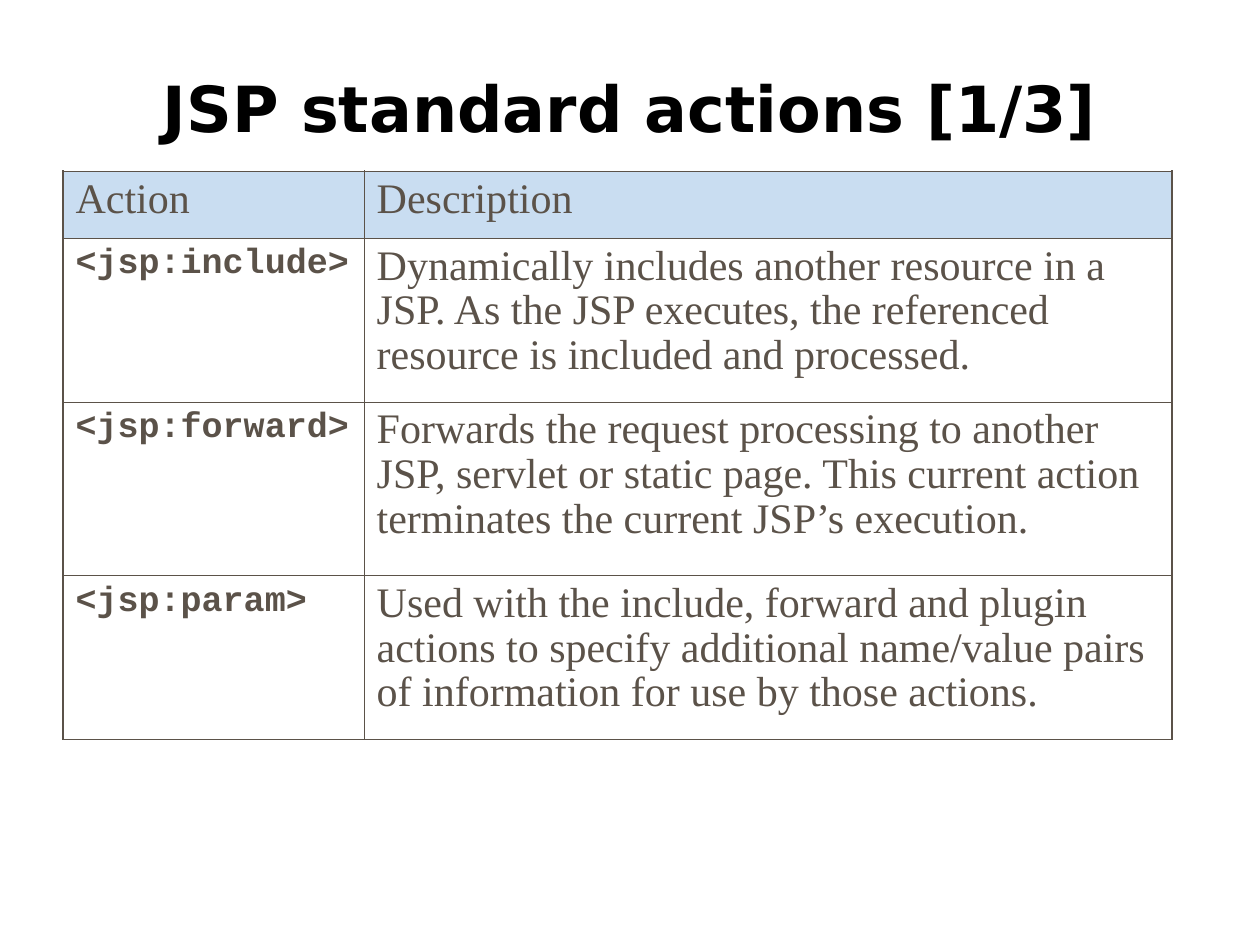
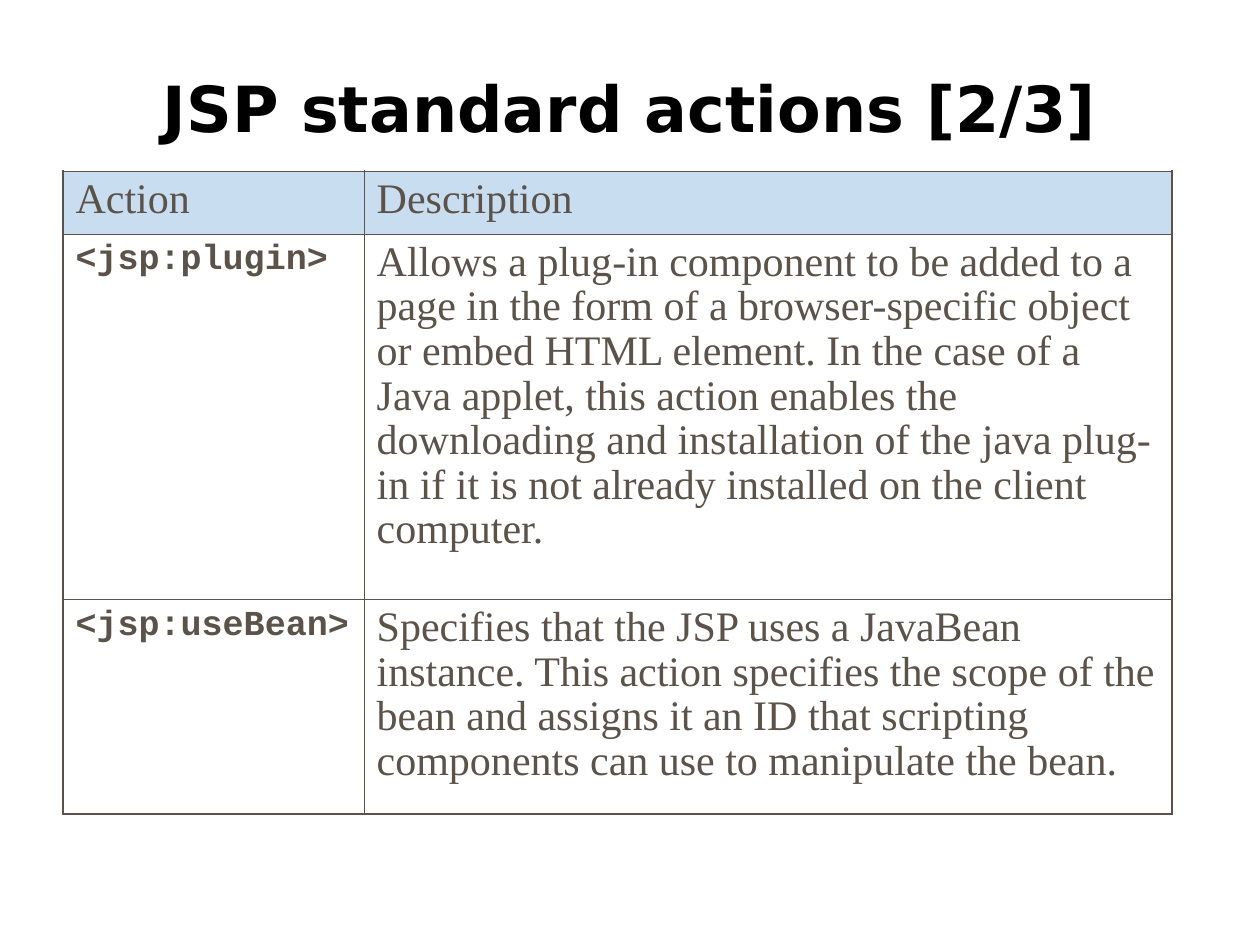
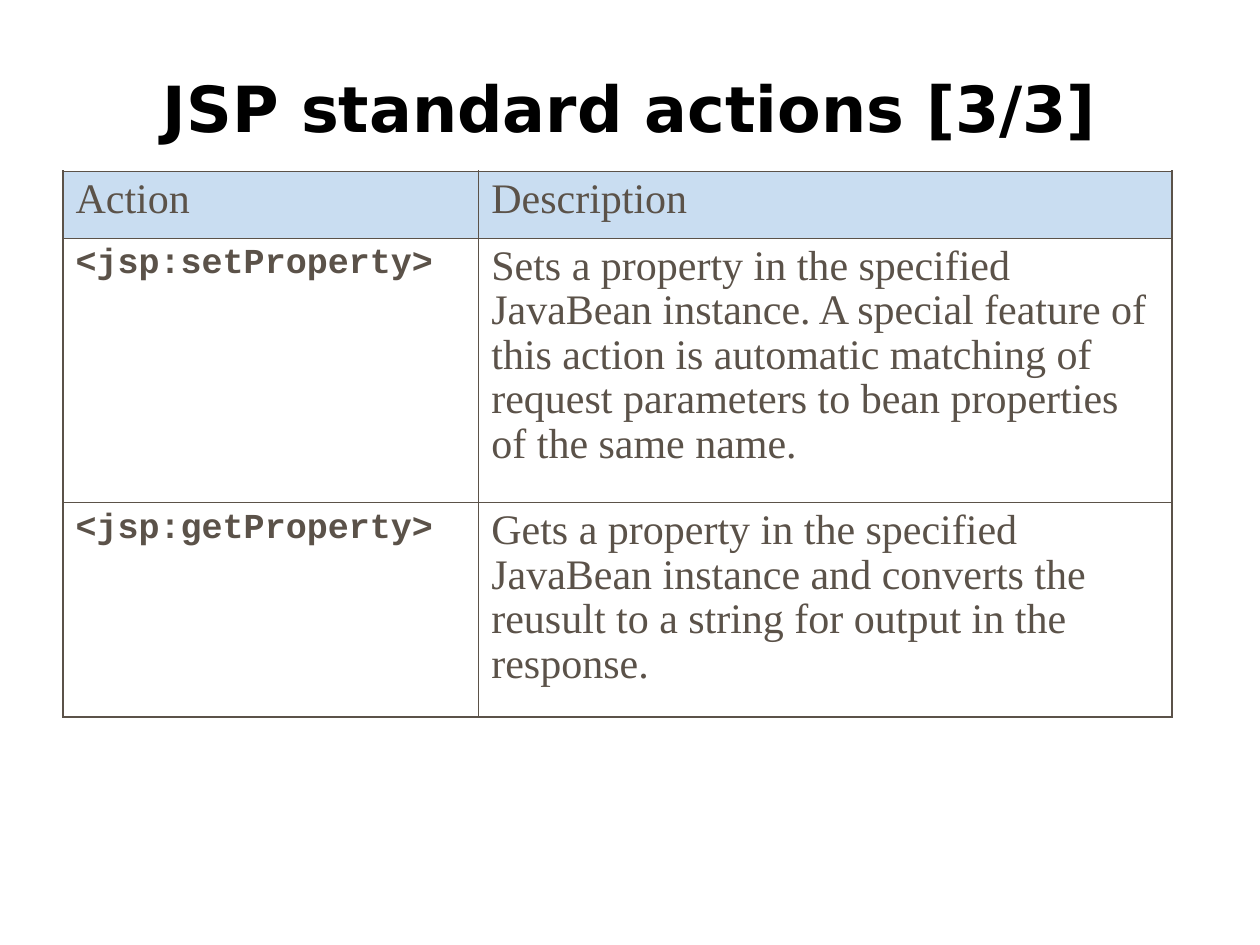
from dataclasses import dataclass

from lxml import etree
from pptx import Presentation
from pptx.dml.color import RGBColor
from pptx.enum.text import MSO_ANCHOR, PP_ALIGN
from pptx.oxml.ns import qn
from pptx.util import Inches, Pt

BOTTOM = MSO_ANCHOR.BOTTOM
CENTER = PP_ALIGN.CENTER
LEFT = PP_ALIGN.LEFT

HEADINGS = ("Action", "Description")
PAGES = [
    {
        "action_width": 2.39,
        "heights": (0.53, 1.3, 1.38, 1.3),
        "actions": [
            ("<jsp:include>", "Dynamically includes another resource in a JSP. As the JSP "
             "executes, the referenced resource is included and processed."),
            ("<jsp:forward>", "Forwards the request processing to another JSP, servlet or "
             "static page. This current action terminates the current JSP’s execution."),
            ("<jsp:param>", "Used with the include, forward and plugin actions to specify "
             "additional name/value pairs of information for use by those actions."),
        ],
    },
    {
        "action_width": 2.39,
        "heights": (0.5, 2.9, 1.7),
        "actions": [
            ("<jsp:plugin>", "Allows a plug-in component to be added to a page in the form of "
             "a browser-specific object or embed HTML element. In the case of a Java applet, "
             "this action enables the downloading and installation of the java plug-in if it "
             "is not already installed on the client computer."),
            ("<jsp:useBean>", "Specifies that the JSP uses a JavaBean instance. This action "
             "specifies the scope of the bean and assigns it an ID that scripting components "
             "can use to manipulate the bean."),
        ],
    },
    {
        "action_width": 3.3,
        "heights": (0.53, 2.1, 1.7),
        "actions": [
            ("<jsp:setProperty>", "Sets a property in the specified JavaBean instance. A "
             "special feature of this action is automatic matching of request parameters to "
             "bean properties of the same name."),
            ("<jsp:getProperty>", "Gets a property in the specified JavaBean instance and "
             "converts the reusult to a string for output in the response."),
        ],
    },
]


@dataclass(frozen=True)
class Theme:
    title_color: str = "000000"
    text_color: str = "5B5249"
    header_fill: str = "C9DDF1"
    title_font: str = "DejaVu Sans"
    body_font: str = "Times New Roman"
    code_font: str = "Courier New"
    title_size: float = 36.3
    body_size: float = 24
    code_size: float = 20
    body_spacing: float = 0.96
    outer_line: float = 1.08
    inner_line: float = 0.45


THEME = Theme()
SLIDE_WIDTH, SLIDE_HEIGHT = 10, 7.5
MARGIN = 0.05 * SLIDE_WIDTH
TITLE_TOP, TITLE_HEIGHT = 0.04 * SLIDE_HEIGHT, 0.88
TABLE_TOP, TABLE_WIDTH = 1.36, 0.88 * SLIDE_WIDTH


def write_text(frame, text, font=THEME.body_font, size=THEME.body_size,
               color=THEME.text_color, bold=False, align=LEFT, spacing=THEME.body_spacing):
    frame.word_wrap = True
    paragraph = frame.paragraphs[0]
    paragraph.alignment = align
    paragraph.line_spacing = spacing
    run = paragraph.add_run()
    run.text = text
    run.font.name = font
    run.font.size = Pt(size)
    run.font.bold = bold
    run.font.color.rgb = RGBColor.from_string(color)


def add_title(slide, text):
    box = slide.shapes.add_textbox(Inches(MARGIN), Inches(TITLE_TOP),
                                   Inches(SLIDE_WIDTH - 2 * MARGIN), Inches(TITLE_HEIGHT))
    frame = box.text_frame
    frame.vertical_anchor = BOTTOM
    frame.margin_bottom = Inches(0.03)
    write_text(frame, text, font=THEME.title_font, size=THEME.title_size,
               color=THEME.title_color, bold=True, align=CENTER, spacing=1.0)


def set_borders(cell, outer_sides):
    properties = cell._tc.get_or_add_tcPr()
    for side in "LRTB":
        width = THEME.outer_line if side in outer_sides else THEME.inner_line
        line = etree.SubElement(properties, qn(f"a:ln{side}"), w=str(Pt(width)))
        fill = etree.SubElement(line, qn("a:solidFill"))
        etree.SubElement(fill, qn("a:srgbClr"), val=THEME.text_color)


def add_action_table(slide, page):
    rows = [HEADINGS, *page["actions"]]
    widths = (page["action_width"], TABLE_WIDTH - page["action_width"])
    frame = slide.shapes.add_table(len(rows), len(widths), Inches(MARGIN), Inches(TABLE_TOP),
                                   Inches(TABLE_WIDTH), Inches(sum(page["heights"])))
    table = frame.table
    table.first_row = table.horz_banding = False
    for column, width in zip(table.columns, widths):
        column.width = Inches(width)
    for row, height in zip(table.rows, page["heights"]):
        row.height = Inches(height)

    last_row = len(rows) - 1
    for row_index, texts in enumerate(rows):
        vertical_edges = "T" * (row_index == 0) + "B" * (row_index == last_row)
        for column_index, text in enumerate(texts):
            cell = table.cell(row_index, column_index)
            set_borders(cell, vertical_edges + "LR"[column_index])
            if row_index == 0:
                cell.fill.solid()
                cell.fill.fore_color.rgb = RGBColor.from_string(THEME.header_fill)
            else:
                cell.fill.background()
            if row_index > 0 and column_index == 0:
                write_text(cell.text_frame, text, font=THEME.code_font,
                           size=THEME.code_size, bold=True)
            else:
                write_text(cell.text_frame, text)


def main():
    presentation = Presentation()
    presentation.slide_width = Inches(SLIDE_WIDTH)
    presentation.slide_height = Inches(SLIDE_HEIGHT)
    blank_layout = presentation.slide_layouts[6]
    for number, page in enumerate(PAGES, start=1):
        slide = presentation.slides.add_slide(blank_layout)
        add_title(slide, f"JSP standard actions [{number}/{len(PAGES)}]")
        add_action_table(slide, page)
    presentation.save("out.pptx")


if __name__ == "__main__":
    main()
